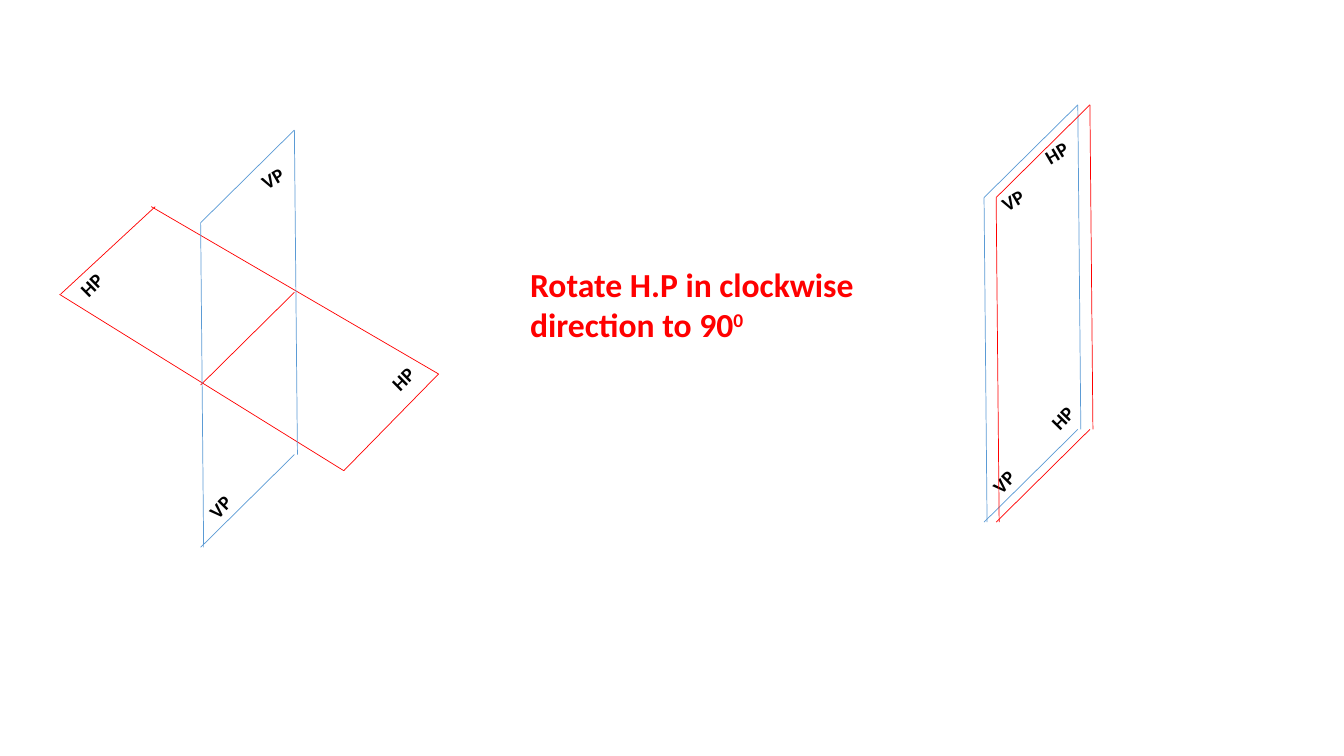
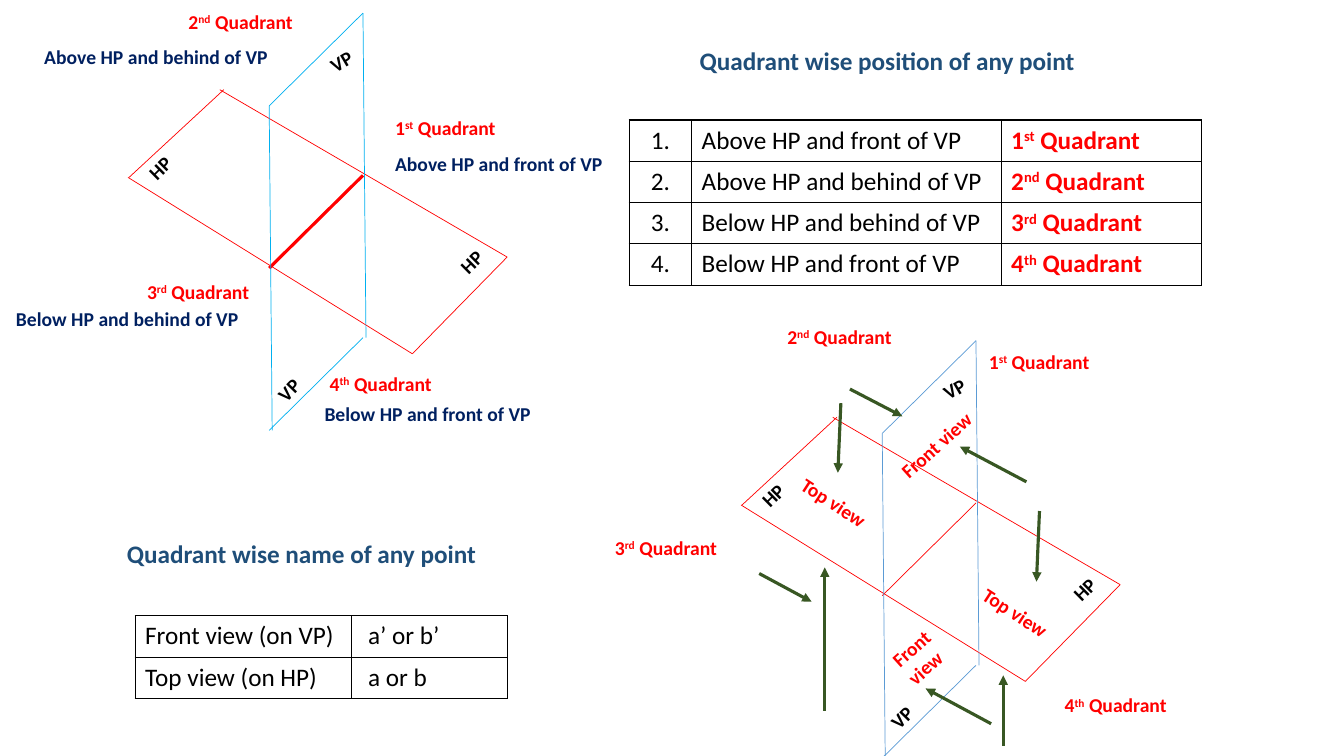
from dataclasses import dataclass

from lxml.etree import SubElement
from pptx import Presentation
from pptx.dml.color import RGBColor
from pptx.enum.shapes import MSO_CONNECTOR
from pptx.enum.text import MSO_AUTO_SIZE, PP_ALIGN
from pptx.oxml.ns import qn
from pptx.util import Inches, Pt


@dataclass(frozen=True)
class Theme:
    font: str = "Calibri"
    red: str = "FF0000"
    blue: str = "5B9BD5"
    bright_blue: str = "00B0F0"
    navy: str = "002060"
    heading: str = "1F4E79"
    green: str = "385723"
    black: str = "000000"
    label_size: int = 14
    body_size: int = 18
    callout_size: int = 24
    thin: float = 0.5
    thick: float = 2.25
    border: float = 1


THEME = Theme()
STEEP, SHALLOW, HP_TURN, VIEW_TURN, TOP_TURN = 314.3, 329.7, 315.4, 318.1, 33
VP_EDGES = [
    (0, 0, 0.03, 3.22), (0, 0, 0.93, -0.92),
    (0.93, -0.92, 0.96, 2.3), (0, 3.22, 0.93, 2.3),
]
HP_EDGES = [
    (-0.49, -0.16, 2.36, 1.5), (1.42, 2.46, 2.36, 1.5),
    (-1.4, 0.71, 1.42, 2.46), (-1.39, 0.71, -0.45, -0.16),
]
FOLD = (0, 1.61, 0.93, 0.69)
QUADRANTS = ["1^st^ Quadrant", "2^nd^ Quadrant", "3^rd^ Quadrant", "4^th^ Quadrant"]
POSITIONS = [
    "Above HP and front of VP", "Above HP and behind of VP",
    "Below HP and behind of VP", "Below HP and front of VP",
]


class Deck:
    def __init__(self, theme):
        self.theme = theme
        self.presentation = Presentation()
        self.presentation.slide_width = Inches(13.33)
        self.presentation.slide_height = Inches(7.5)
        self.slide = None

    def new_slide(self):
        self.slide = self.presentation.slides.add_slide(self.presentation.slide_layouts[6])

    def fill_paragraph(self, paragraph, content, size, color, bold):
        font = paragraph.font
        font.name, font.size, font.bold = self.theme.font, Pt(size), bold
        font.color.rgb = RGBColor.from_string(color)
        for index, part in enumerate(content.split("^")):
            if part:
                run = paragraph.add_run()
                run.text = part
                if index % 2:
                    run._r.get_or_add_rPr().set("baseline", "30000")

    def text(self, content, left, top, width, height=0.34, size=None, color=None, turn=0):
        box = self.slide.shapes.add_textbox(
            Inches(left), Inches(top), Inches(width), Inches(height))
        box.rotation = turn
        frame = box.text_frame
        frame.word_wrap = True
        frame.auto_size = MSO_AUTO_SIZE.SHAPE_TO_FIT_TEXT
        for index, line in enumerate(content.split("\n")):
            paragraph = frame.add_paragraph() if index else frame.paragraphs[0]
            self.fill_paragraph(paragraph, line, size or self.theme.label_size,
                                color or self.theme.red, True)

    def plane_name(self, name, left, top, turn):
        self.text(name, left, top, 0.53, color=self.theme.black, turn=turn)

    def heading(self, content, left, top):
        self.text(content, left, top, 6.56, 0.4, self.theme.body_size, self.theme.heading)

    def line(self, x1, y1, x2, y2, color, width, arrow=False):
        connector = self.slide.shapes.add_connector(
            MSO_CONNECTOR.STRAIGHT, Inches(x1), Inches(y1), Inches(x2), Inches(y2))
        connector.line.color.rgb = RGBColor.from_string(color)
        connector.line.width = Pt(width)
        properties = connector._element.spPr
        if arrow:
            SubElement(properties.find(qn("a:ln")), qn("a:tailEnd"), type="triangle")
        SubElement(properties, qn("a:effectLst"))

    def arrow(self, x1, y1, x2, y2):
        self.line(x1, y1, x2, y2, self.theme.green, self.theme.thick, arrow=True)

    def edges(self, x, y, edges, color, width=None):
        for x1, y1, x2, y2 in edges:
            self.line(x + x1, y + y1, x + x2, y + y2, color, width or self.theme.thin)

    def vertical_plane(self, x, y, color, upper="VP", lower="VP"):
        self.edges(x, y, VP_EDGES, color)
        self.plane_name(upper, x + 0.5, y - 0.64, SHALLOW)
        self.plane_name(lower, x - 0.03, y + 2.61, STEEP)

    def crossed_planes(self, x, y, color, fold_width=None):
        self.edges(x, y, HP_EDGES, self.theme.red)
        self.edges(x, y, [FOLD], self.theme.red, fold_width)
        for dx, dy in [(1.78, 1.34), (-1.31, 0.41)]:
            self.plane_name("HP", x + dx, y + dy, HP_TURN)
        self.vertical_plane(x, y, color)

    def table(self, rows, left, top, widths, centered=(), accented=(), indented=()):
        row_height = Inches(0.41)
        table = self.slide.shapes.add_table(
            len(rows), len(widths), Inches(left), Inches(top),
            Inches(sum(widths)), row_height * len(rows)).table
        table.first_row = table.horz_banding = False
        for column, width in zip(table.columns, widths):
            column.width = Inches(width)
        for r, row in enumerate(rows):
            table.rows[r].height = row_height
            for c, content in enumerate(row):
                cell = table.cell(r, c)
                self.outline(cell)
                cell.fill.background()
                if c in indented:
                    cell.margin_left = Inches(0.16)
                paragraph = cell.text_frame.paragraphs[0]
                if c in centered:
                    paragraph.alignment = PP_ALIGN.CENTER
                accent = c in accented
                self.fill_paragraph(paragraph, content, self.theme.body_size,
                                    self.theme.red if accent else self.theme.black, accent)

    def outline(self, cell):
        properties = cell._tc.get_or_add_tcPr()
        for side in ("a:lnL", "a:lnR", "a:lnT", "a:lnB"):
            border = SubElement(properties, qn(side), w=str(Pt(self.theme.border)))
            fill = SubElement(border, qn("a:solidFill"))
            SubElement(fill, qn("a:srgbClr"), val=self.theme.black)


def build_rotation(deck):
    theme = deck.theme
    deck.new_slide()
    deck.crossed_planes(1.99, 2.21, theme.blue)
    deck.text("Rotate H.P in clockwise direction to 90^0^", 5.16, 2.57, 3.95, 0.91,
              theme.callout_size)
    deck.vertical_plane(9.76, 1.96, theme.blue, upper="HP")
    deck.edges(9.88, 1.96, VP_EDGES, theme.red)
    deck.plane_name("VP", 9.83, 1.79, SHALLOW)
    deck.plane_name("HP", 10.31, 3.94, STEEP)


def build_quadrants(deck):
    theme = deck.theme
    deck.new_slide()
    deck.crossed_planes(2.67, 1.05, theme.bright_blue, theme.thick)
    quadrant_spots = [(3.82, 1.1), (1.77, 0.05), (1.36, 2.73), (3.17, 3.64)]
    position_spots = [(3.82, 1.46), (0.34, 0.4), (0.06, 3), (3.12, 3.94)]
    view_spots = [(9.71, 3.42), (7.71, 3.17), (6, 5.27), (10.46, 6.83)]
    for spots in (quadrant_spots, view_spots):
        for quadrant, (left, top) in zip(QUADRANTS, spots):
            deck.text(quadrant, left, top, 1.68)
    for position, (left, top) in zip(POSITIONS, position_spots):
        deck.text(position, left, top, 2.58, color=theme.navy)

    deck.heading("Quadrant wise position of any point", 6.84, 0.4)
    numbered = [(f"{number}.", position, quadrant) for number, (position, quadrant)
                in enumerate(zip(POSITIONS, QUADRANTS), 1)]
    deck.table(numbered, 6.24, 1.19, [0.62, 3.07, 1.99], centered=[0], accented=[2])

    deck.heading("Quadrant wise name of any point", 1.16, 5.29)
    deck.table([("Front view (on VP)", "a’ or b’"), ("Top view (on HP)", "a or b")],
               1.34, 6.11, [2.15, 1.54], indented=[1])

    deck.crossed_planes(8.75, 4.3, theme.blue)
    deck.text("Front view", 8.68, 4.04, 1.68, turn=VIEW_TURN)
    deck.text("Front\nview", 8.79, 6.21, 0.71, 0.57, turn=VIEW_TURN)
    for left, top in [(9.55, 6.12), (7.75, 5.03)]:
        deck.text("Top view", left, top, 1.68, turn=TOP_TURN)
    for ends in [
        (10.18, 4.78, 9.52, 4.43), (10.31, 5.07, 10.28, 5.77),
        (8.43, 3.86, 8.95, 4.13), (8.34, 4, 8.31, 4.69),
        (7.53, 5.69, 8.05, 5.97), (8.18, 7.05, 8.18, 5.63),
        (9.83, 7.18, 9.18, 6.83), (9.95, 7.4, 9.95, 6.7),
    ]:
        deck.arrow(*ends)


def main():
    deck = Deck(THEME)
    build_rotation(deck)
    build_quadrants(deck)
    deck.presentation.save("out.pptx")


if __name__ == "__main__":
    main()
